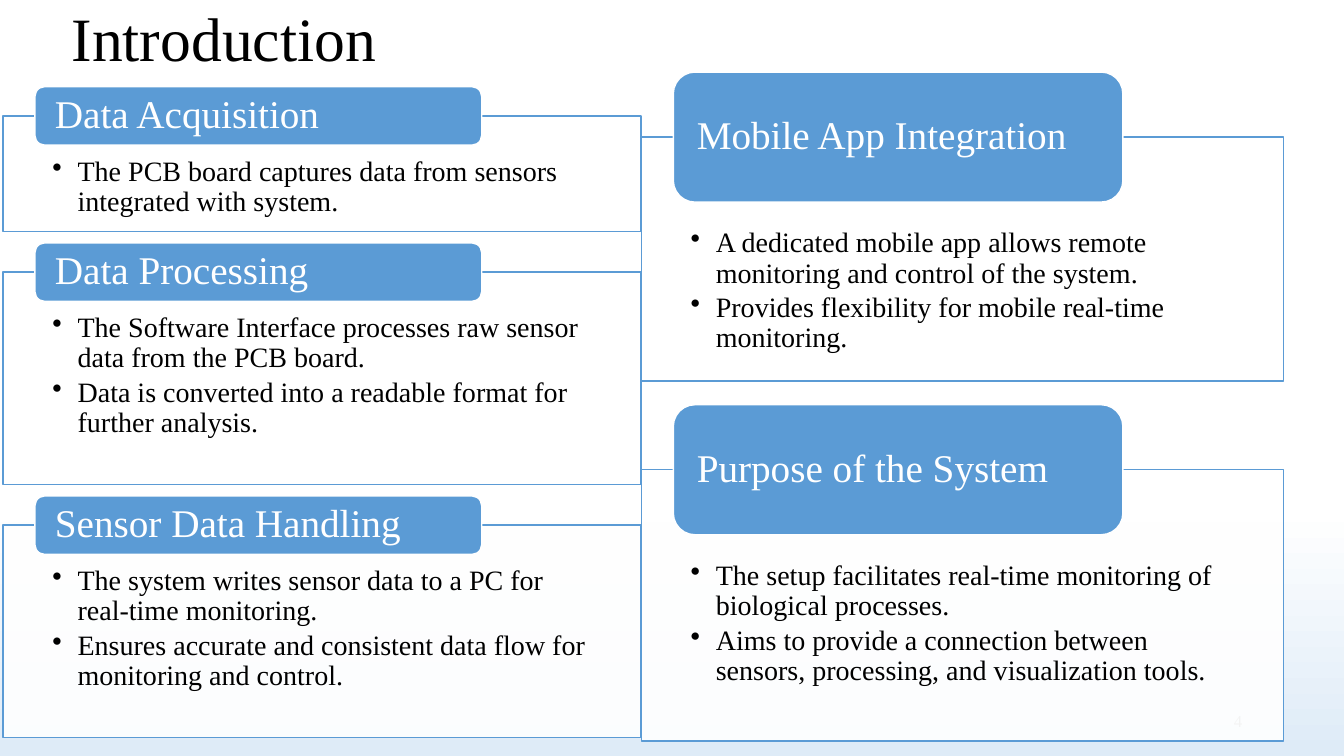
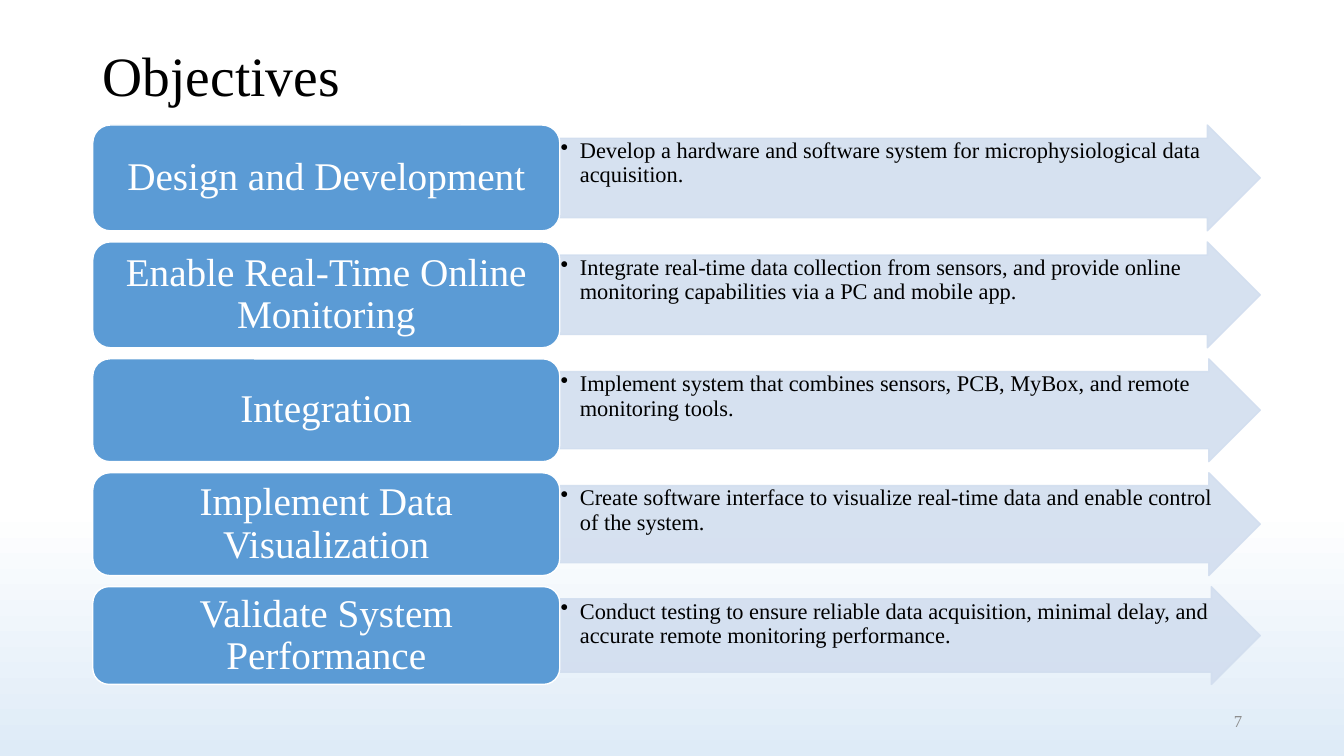
from pptx import Presentation
from pptx.dml.color import RGBColor
from pptx.enum import shapes, text
from pptx.oxml.ns import qn
from pptx.util import Inches, Pt
from lxml import etree

FACE = "Times New Roman"
HUES = {"ink": "000000", "white": "FFFFFF", "blue": "5B9BD5",
        "pale": "D2DEEF", "sky": "DEEBF7", "grey": "8C8C8C"}
LEFT, MID, RIGHT = text.PP_ALIGN.LEFT, text.PP_ALIGN.CENTER, text.PP_ALIGN.RIGHT
KIND = shapes.MSO_SHAPE

LEFT_TEXT = [
    (1.15, "Data Acquisition",
     ["The PCB board captures data from sensors integrated with system."]),
    (2.11, "Data Processing",
     ["The Software Interface processes raw sensor data from the PCB board.",
      "Data is converted into a readable format for further analysis."]),
    (2.11, "Sensor Data Handling",
     ["The system writes sensor data to a PC for real-time monitoring.",
      "Ensures accurate and consistent data flow for monitoring and control."]),
]
RIGHT_TEXT = [
    (2.42, "Mobile App Integration",
     ["A dedicated mobile app allows remote monitoring and control of the system.",
      "Provides flexibility for mobile real-time monitoring."]),
    (2.69, "Purpose of the System",
     ["The setup facilitates real-time monitoring of biological processes.",
      "Aims to provide a connection between sensors, processing, and visualization tools."]),
]
GOALS = [
    (1.05, "Design and Development",
     "Develop a hardware and software system for microphysiological data acquisition."),
    (1.05, "Enable Real-Time Online Monitoring",
     "Integrate real-time data collection from sensors, and provide online "
     "monitoring capabilities via a PC and mobile app."),
    (1.02, "Integration",
     "Implement system that combines sensors, PCB, MyBox, and remote monitoring tools."),
    (1.02, "Implement Data Visualization",
     "Create software interface to visualize real-time data and enable control of the system."),
    (0.97, "Validate System Performance",
     "Conduct testing to ensure reliable data acquisition, minimal delay, "
     "and accurate remote monitoring performance."),
]


def hue(name):
    return RGBColor.from_string(HUES[name])


def inch(at):
    return [Inches(n) for n in at]


def write(shape, lines, size, ink="ink", align=LEFT, inset=(0.1, 0.05, 0.1, 0.05),
          anchor=text.MSO_ANCHOR.MIDDLE, dent=0, space=0.9):
    frame = shape.text_frame
    frame.word_wrap = True
    frame.auto_size = text.MSO_AUTO_SIZE.NONE
    frame.vertical_anchor = anchor
    (frame.margin_left, frame.margin_top,
     frame.margin_right, frame.margin_bottom) = inch(inset)
    for i, line in enumerate(lines):
        para = frame.add_paragraph() if i else frame.paragraphs[0]
        para.text = line
        para.alignment = align
        para.line_spacing = space
        if dent:
            para.space_after = Pt(size * 0.15)
            props = para._p.get_or_add_pPr()
            props.set("marL", str(Inches(dent)))
            props.set("indent", str(-Inches(dent)))
            etree.SubElement(props, qn("a:buChar")).set("char", "•")
        font = para.font
        font.name, font.size, font.color.rgb = FACE, Pt(size), hue(ink)


def draw(slide, kind, at, fill, line, fades=0):
    shape = slide.shapes.add_shape(kind, *inch(at))
    shape.shadow.inherit = False
    shape.fill.solid()
    shape.fill.fore_color.rgb = hue(fill)
    shape.line.color.rgb = hue(line)
    shape.line.width = Pt(1)
    tints = list(shape._element.spPr.iter(qn("a:srgbClr")))
    for tint in tints[:fades]:
        etree.SubElement(tint, qn("a:alpha")).set("val", "90000")
    return shape


def stack(top, gap, items):
    for high, head, body in items:
        yield top, high, head, body
        top += high + gap


def start(deck, name, at, size, page):
    slide = deck.slides.add_slide(deck.slide_layouts[5])
    title = slide.shapes.title
    title.left, title.top, title.width, title.height = inch(at)
    write(title, [name], size)
    foot = slide.shapes.add_textbox(*inch((9.42, 6.95, 3, 0.4)))
    write(foot, [page], 12, "grey", RIGHT, space=1)
    return slide


def panel(slide, left, top, wide, high, tab, head, body):
    box = draw(slide, KIND.RECTANGLE, (left, top, wide, high), "white", "blue", 1)
    write(box, body, 20, inset=(0.49, tab * 0.705, 0.49, 0.16),
          anchor=text.MSO_ANCHOR.TOP, dent=0.25)
    at = (left + wide * 0.05, top - tab / 2, wide * 0.7, tab)
    label = draw(slide, KIND.ROUNDED_RECTANGLE, at, "blue", "white")
    write(label, [head], 28, "white", inset=(0.17, 0, 0.17, 0))


def goal(slide, left, top, wide, high, head, body):
    split = wide * 0.4
    arrow = draw(slide, KIND.RIGHT_ARROW, (left + split, top, wide - split, high),
                 "pale", "pale", 2)
    arrow.adjustments[0] = 0.75
    arrow.adjustments[1] = 0.5
    write(arrow, [body], 16, inset=[0.01] * 4, anchor=text.MSO_ANCHOR.TOP, dent=0.19)
    label = draw(slide, KIND.ROUNDED_RECTANGLE, (left, top, split, high), "blue", "white")
    write(label, [head], 28, "white", MID, (0.12, 0.06, 0.12, 0.06))


def intro(deck):
    slide = start(deck, "Introduction", (0.61, 0, 11.5, 0.82), 44, "4")
    columns = [(0.03, 6.33, 1.15, 0.4, 0.58, LEFT_TEXT),
               (6.36, 6.37, 1.36, 0.88, 1.29, RIGHT_TEXT)]
    for left, wide, top, gap, tab, items in columns:
        for y, high, head, body in stack(top, gap, items):
            panel(slide, left, y, wide, high, tab, head, body)


def goals(deck):
    slide = start(deck, "Objectives", (0.92, 0.4, 11.5, 0.75), 39.6, "7")
    for y, high, head, body in stack(1.24, 0.11, GOALS):
        goal(slide, 0.92, y, 11.58, high, head, body)


def main():
    deck = Presentation()
    deck.slide_width, deck.slide_height = Inches(13.33), Inches(7.5)
    back = deck.slide_master.background.fill
    back.gradient()
    back.gradient_angle = 270
    for stop, place, name in zip(back.gradient_stops, (0.67, 1), ("white", "sky")):
        stop.position = place
        stop.color.rgb = hue(name)
    intro(deck)
    goals(deck)
    deck.save("out.pptx")


if __name__ == "__main__":
    main()
